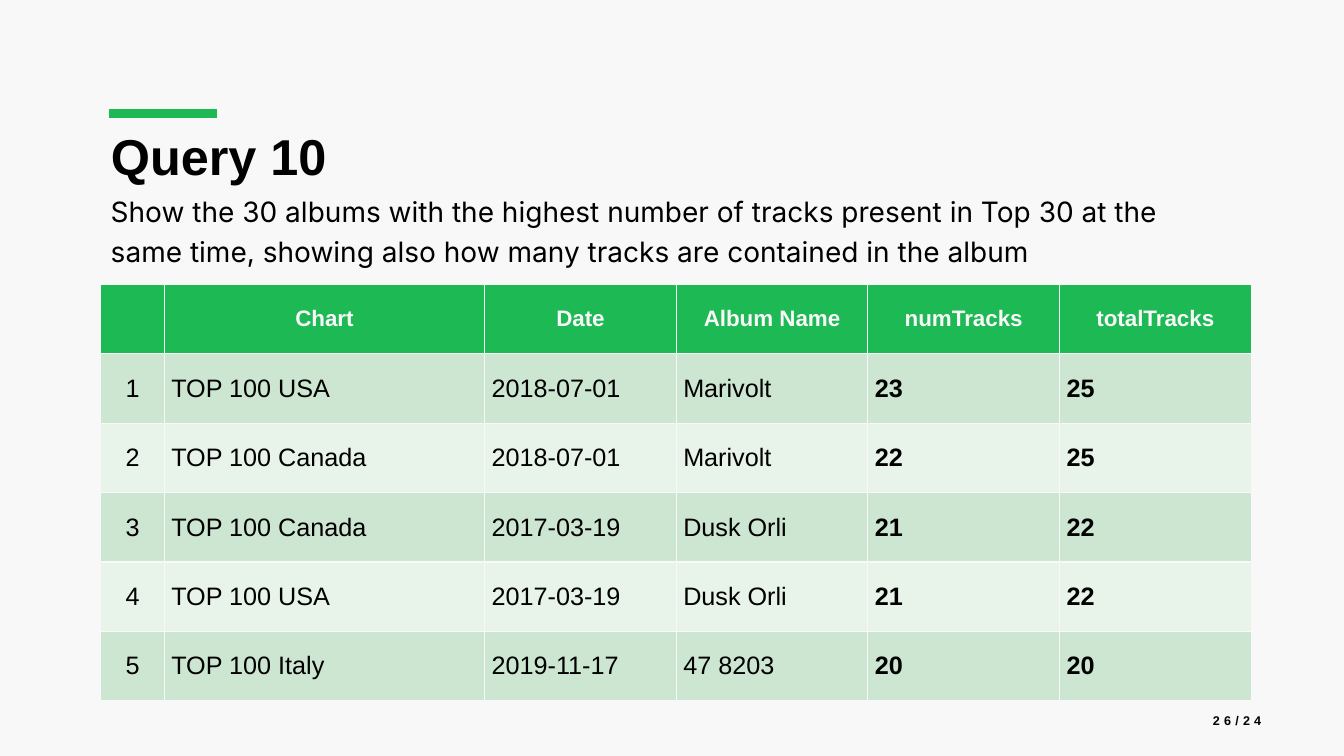
from lxml.etree import SubElement
from pptx import Presentation
from pptx.dml.color import RGBColor
from pptx.enum.shapes import MSO_CONNECTOR as Connector
from pptx.enum.text import MSO_ANCHOR as Anchor, PP_ALIGN as Align
from pptx.oxml.ns import qn
from pptx.util import Pt

COLORS = {
    "ground": "F8F8F8",
    "green": "1DB954",
    "odd_row": "CDE6D1",
    "even_row": "E8F3E9",
    "ink": "000000",
}
HEADINGS = ["", "Chart", "Date", "Album Name", "numTracks", "totalTracks"]
ALBUMS = [
    ["TOP 100 USA", "2018-07-01", "Marivolt", "23", "25"],
    ["TOP 100 Canada", "2018-07-01", "Marivolt", "22", "25"],
    ["TOP 100 Canada", "2017-03-19", "Dusk Orli", "21", "22"],
    ["TOP 100 USA", "2017-03-19", "Dusk Orli", "21", "22"],
    ["TOP 100 Italy", "2019-11-17", "47 8203", "20", "20"],
]
COLUMN_WIDTHS = [45.4, 228.8] + [136.9] * 4
ROW_HEIGHT = 49.55


def color(name):
    return RGBColor.from_string(COLORS[name])


def place(shape, left, top, width, height):
    shape.left, shape.top = Pt(left), Pt(top)
    shape.width, shape.height = Pt(width), Pt(height)


def write(frame, text, size, font="Arial", ink="ink", bold=False,
          align=Align.LEFT, line_spacing=None, tracking=None):
    para = frame.paragraphs[0]
    para.alignment = align
    para.line_spacing = line_spacing
    span = para.add_run()
    span.text = text
    span.font.name = font
    span.font.size = Pt(size)
    span.font.bold = bold
    span.font.color.rgb = color(ink)
    if tracking:
        span.font._element.set("spc", str(tracking * 100))


def add_title(page, text):
    title = page.shapes.title
    place(title, 72, 84, 408, 59)
    title.text_frame.vertical_anchor = Anchor.MIDDLE
    title.text_frame.word_wrap = True
    write(title.text_frame, text, 36, bold=True, line_spacing=0.9)


def add_text(page, text, left, top, width, height, anchor=Anchor.TOP, **style):
    box = page.shapes.add_textbox(Pt(left), Pt(top), Pt(width), Pt(height))
    box.text_frame.word_wrap = True
    box.text_frame.vertical_anchor = anchor
    write(box.text_frame, text, **style)


def add_accent(page, left, right, middle):
    accent = page.shapes.add_connector(
        Connector.STRAIGHT, Pt(left), Pt(middle), Pt(right), Pt(middle))
    accent.line.color.rgb = color("green")
    accent.line.width = Pt(6)
    SubElement(accent._element.spPr, qn("a:effectLst"))


def add_borders(cell, name, width):
    properties = cell._tc.get_or_add_tcPr()
    for position, side in enumerate(["lnL", "lnR", "lnT", "lnB"]):
        border = SubElement(properties, qn(f"a:{side}"), w=str(Pt(width)))
        fill = SubElement(border, qn("a:solidFill"))
        SubElement(fill, qn("a:srgbClr"), val=COLORS[name])
        properties.insert(position, border)


def format_cell(cell, text, fill, **style):
    cell.fill.solid()
    cell.fill.fore_color.rgb = color(fill)
    add_borders(cell, "ground", 1)
    cell.vertical_anchor = Anchor.MIDDLE
    if text:
        write(cell.text_frame, text, **style)


def add_album_table(page, left, top):
    row_count = len(ALBUMS) + 1
    table = page.shapes.add_table(
        row_count, len(HEADINGS), Pt(left), Pt(top),
        Pt(sum(COLUMN_WIDTHS)), Pt(ROW_HEIGHT * row_count)).table
    for column, width in zip(table.columns, COLUMN_WIDTHS):
        column.width = Pt(width)
    for row in table.rows:
        row.height = Pt(ROW_HEIGHT)
    for column, heading in enumerate(HEADINGS):
        format_cell(table.cell(0, column), heading, "green", size=16,
                    ink="ground", bold=True, align=Align.CENTER)
    for rank, album in enumerate(ALBUMS, 1):
        fill = "odd_row" if rank % 2 else "even_row"
        for column, text in enumerate([str(rank)] + album):
            cell = table.cell(rank, column)
            cell.margin_left = cell.margin_right = Pt(5)
            cell.margin_top = cell.margin_bottom = Pt(2.5)
            format_cell(cell, text, fill, size=18, bold=column >= 4,
                        align=Align.LEFT if column else Align.CENTER)


def main():
    deck = Presentation()
    deck.slide_width, deck.slide_height = Pt(960), Pt(540)
    page = deck.slides.add_slide(deck.slide_layouts[5])
    page.background.fill.solid()
    page.background.fill.fore_color.rgb = color("ground")
    add_accent(page, 77.8, 155, 81.2)
    add_title(page, "Query 10")
    add_text(page, "Show the 30 albums with the highest number of tracks present "
             "in Top 30 at the same time, showing also how many tracks are "
             "contained in the album", 72, 130.3, 795.6, 34,
             size=20, font="Inter", line_spacing=1.2)
    add_album_table(page, 72, 203.2)
    add_text(page, "26/24", 851, 500.4, 57, 28.8, anchor=Anchor.MIDDLE,
             size=9, bold=True, align=Align.RIGHT, tracking=3)
    deck.save("out.pptx")


if __name__ == "__main__":
    main()
